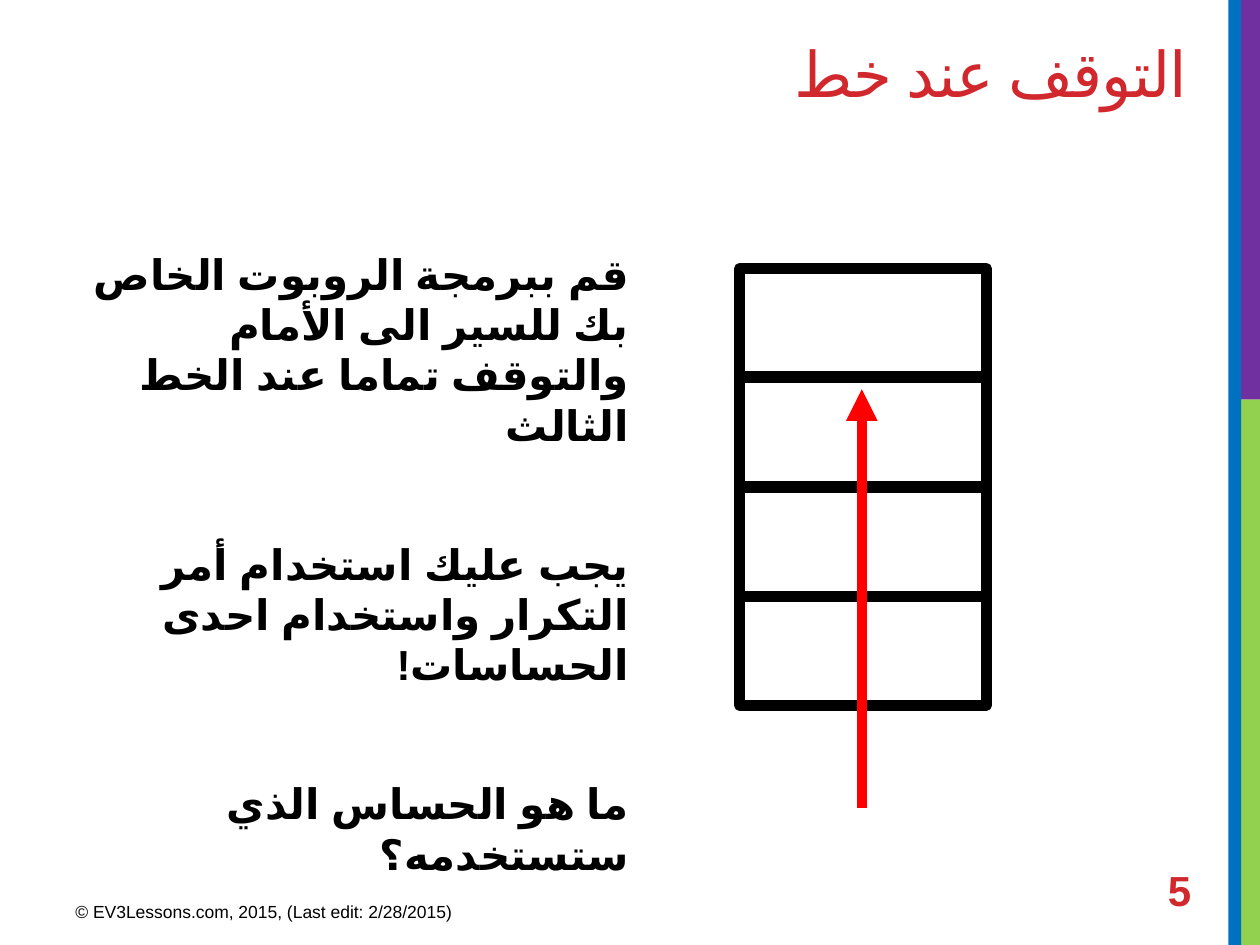
from lxml.etree import SubElement
from pptx import Presentation
from pptx.dml.color import RGBColor
from pptx.enum.shapes import MSO_CONNECTOR, MSO_SHAPE
from pptx.enum.text import MSO_ANCHOR, MSO_AUTO_SIZE, PP_ALIGN
from pptx.oxml.ns import qn
from pptx.util import Inches, Pt

BLACK = RGBColor(0x00, 0x00, 0x00)
RED = RGBColor(0xFF, 0x00, 0x00)
CRIMSON = RGBColor(0xD1, 0x28, 0x2E)
GREEN = RGBColor(0x92, 0xD0, 0x50)
PURPLE = RGBColor(0x70, 0x30, 0xA0)
BLUE = RGBColor(0x00, 0x70, 0xC0)

COLUMNS, ROWS = 100, 75
TASKS = [
    "قم ببرمجة الروبوت الخاص بك للسير الى الأمام والتوقف تماما عند الخط الثالث",
    "يجب عليك استخدام أمر التكرار واستخدام احدى الحساسات!",
    "ما هو الحساس الذي ستستخدمه؟",
]


class SlideBuilder:
    """Places styled elements on a grid of 100 columns by 75 rows."""

    def __init__(self, prs):
        self.slide = prs.slides.add_slide(prs.slide_layouts[5])
        self.col = prs.slide_width / COLUMNS
        self.row = prs.slide_height / ROWS

    def place(self, x, y, w, h):
        return (int(x * self.col), int(y * self.row),
                int(w * self.col), int(h * self.row))

    def fill_text(self, tf, texts, size, color, font="Arial", bold=False,
                  rtl=False, gap=0, anchor=MSO_ANCHOR.TOP):
        tf.word_wrap = True
        tf.auto_size = MSO_AUTO_SIZE.NONE
        tf.vertical_anchor = anchor
        for i, text in enumerate(texts):
            p = tf.paragraphs[0] if i == 0 else tf.add_paragraph()
            p.text = text
            p.alignment = PP_ALIGN.RIGHT if rtl else PP_ALIGN.LEFT
            p.space_before = Pt(gap if i else 0)
            if rtl:
                p._p.get_or_add_pPr().set("rtl", "1")
                rpr = p.runs[0]._r.get_or_add_rPr()
                rpr.set("lang", "ar-SA")
                SubElement(rpr, qn("a:cs"), typeface=font)
            p.font.name, p.font.size, p.font.bold = font, Pt(size), bold
            p.font.color.rgb = color

    def title(self, box, text):
        sp = self.slide.shapes.title
        sp.left, sp.top, sp.width, sp.height = self.place(*box)
        self.fill_text(sp.text_frame, [text], 36, CRIMSON, "Montserrat",
                       rtl=True, anchor=MSO_ANCHOR.MIDDLE)
        r = sp.text_frame.paragraphs[0].runs[0]
        r._r.get_or_add_rPr().set("spc", "-60")

    def text(self, box, texts, size, color, **style):
        sp = self.slide.shapes.add_textbox(*self.place(*box))
        self.fill_text(sp.text_frame, texts, size, color, **style)

    def rect(self, box, fill=None, line=None):
        sp = self.slide.shapes.add_shape(MSO_SHAPE.RECTANGLE, *self.place(*box))
        sp.shadow.inherit = False
        if fill is None:
            sp.fill.background()
        else:
            sp.fill.solid()
            sp.fill.fore_color.rgb = fill
        if line is None:
            sp.line.fill.background()
        else:
            sp.line.color.rgb = line
            sp.line.width = Pt(6)
            SubElement(sp.line._get_or_add_ln(), qn("a:round"))

    def arrow(self, start, end, color):
        cn = self.slide.shapes.add_connector(
            MSO_CONNECTOR.STRAIGHT, *self.place(*start, *end))
        cn.line.color.rgb = color
        cn.line.width = Pt(6)
        SubElement(cn.line._get_or_add_ln(), qn("a:tailEnd"), type="triangle")
        SubElement(cn._element.spPr, qn("a:effectLst"))


def main():
    prs = Presentation()
    prs.slide_width, prs.slide_height = Inches(10), Inches(7.5)
    s = SlideBuilder(prs)
    s.rect((98.4, 31.7, 1.6, 43.3), fill=GREEN)
    s.rect((98, 0, 2, 31.7), fill=PURPLE)
    s.rect((97.5, 0, 1, 75), fill=BLUE)
    s.title((5, 1.7, 90.2, 8), "التوقف عند خط")
    s.text((5, 19.2, 45.9, 37.8), TASKS, 24, BLACK, bold=True, rtl=True, gap=50.5)
    s.text((5, 71, 37.5, 3.1),
           ["© EV3Lessons.com, 2015, (Last edit: 2/28/2015)"], 10, BLACK)
    s.text((91.7, 68.6, 7, 4), ["5"], 24, CRIMSON, bold=True,
           anchor=MSO_ANCHOR.MIDDLE)
    for i in range(4):
        s.rect((58.7, 21.3 + 8.7 * i, 19.6, 8.6), line=BLACK)
    s.arrow((68.4, 64.1), (68.4, 30.9), RED)
    prs.save("out.pptx")


if __name__ == "__main__":
    main()
